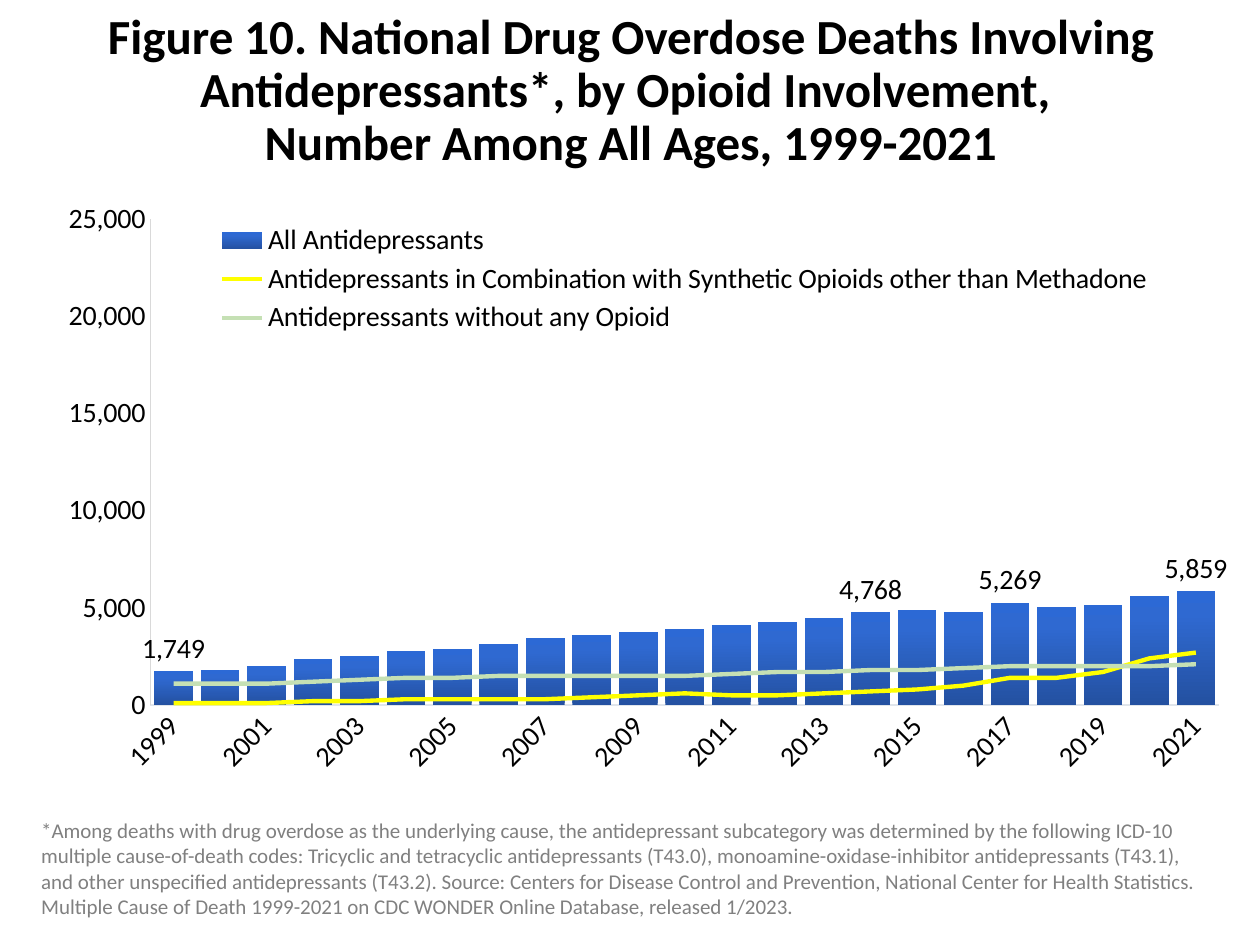
"""Build a slide with a combined column and line chart of overdose deaths involving antidepressants."""
from copy import deepcopy
from dataclasses import dataclass

from lxml import etree
from pptx import Presentation
from pptx.chart.data import CategoryChartData
from pptx.dml.color import RGBColor
from pptx.enum.chart import XL_CHART_TYPE, XL_LABEL_POSITION, XL_LEGEND_POSITION, XL_MARKER_STYLE, XL_TICK_MARK
from pptx.enum.text import MSO_ANCHOR, PP_ALIGN
from pptx.oxml import parse_xml
from pptx.oxml.ns import nsdecls, qn
from pptx.util import Cm, Pt

COLUMNS = XL_CHART_TYPE.COLUMN_CLUSTERED
LABEL_ABOVE = XL_LABEL_POSITION.OUTSIDE_END
LEGEND_BOTTOM = XL_LEGEND_POSITION.BOTTOM
NO_MARKER = XL_MARKER_STYLE.NONE
NO_TICK = XL_TICK_MARK.NONE
MIDDLE, TOP = MSO_ANCHOR.MIDDLE, MSO_ANCHOR.TOP
CENTER, LEFT = PP_ALIGN.CENTER, PP_ALIGN.LEFT


@dataclass(frozen=True)
class Theme:
    font: str = "Calibri"
    title_size: int = 28
    chart_size: int = 16
    note_size: int = 12
    text: str = "000000"
    note: str = "808080"
    category_line: str = "E0E5EB"
    value_line: str = "D9D9D9"
    columns: tuple = ((0, "2451A1"), (0.8, "2F69D1"), (1, "2C69D5"))
    lines: tuple = ("FFFF00", "C5E0B4")


THEME = Theme()
TITLE = ("Figure 10. National Drug Overdose Deaths Involving Antidepressants*, "
         "by Opioid Involvement, \vNumber Among All Ages, 1999-2021")
NOTE = ("*Among deaths with drug overdose as the underlying cause, the antidepressant subcategory was "
        "determined by the following ICD-10 multiple cause-of-death codes: Tricyclic and tetracyclic "
        "antidepressants (T43.0), monoamine-oxidase-inhibitor antidepressants (T43.1), and other unspecified "
        "antidepressants (T43.2). Source: Centers for Disease Control and Prevention, National Center for "
        "Health Statistics. Multiple Cause of Death 1999-2021 on CDC WONDER Online Database, released 1/2023.")
DEATHS = {
    "All Antidepressants": (
        1749, 1798, 2017, 2370, 2512, 2758, 2861, 3133, 3425, 3610, 3768, 3889,
        4113, 4259, 4458, 4768, 4894, 4812, 5269, 5064, 5175, 5597, 5859),
    "Antidepressants in Combination with Synthetic Opioids other than Methadone": (
        100, 100, 100, 200, 200, 300, 300, 300, 300, 400, 500, 600,
        500, 500, 600, 700, 800, 1000, 1400, 1400, 1700, 2400, 2700),
    "Antidepressants without any Opioid": (
        1100, 1100, 1100, 1200, 1300, 1400, 1400, 1500, 1500, 1500, 1500, 1500,
        1600, 1700, 1700, 1800, 1800, 1900, 2000, 2000, 2000, 2000, 2100),
}
YEARS = range(1999, 2022)
LABELLED_YEARS = (1999, 2014, 2017, 2021)


def add_text(s, box, text, size, color, bold, align, anchor, spacing):
    tf = s.shapes.add_textbox(*map(Cm, box)).text_frame
    tf.word_wrap = True
    tf.vertical_anchor = anchor
    p = tf.paragraphs[0]
    p.text = text
    p.alignment = align
    p.line_spacing = spacing
    p.font.name = THEME.font
    p.font.size = Pt(size)
    p.font.bold = bold
    p.font.color.rgb = RGBColor.from_string(color)


def make_layout(x, y, w, h, target=""):
    sizes = "".join(f'<c:{k} val="{v}"/>' for k, v in zip("xywh", (x, y, w, h)))
    return parse_xml(f'<c:layout {nsdecls("c")}><c:manualLayout>{target}<c:xMode val="edge"/>'
                     f'<c:yMode val="edge"/>{sizes}</c:manualLayout></c:layout>')


prs = Presentation()
prs.slide_width, prs.slide_height = Cm(25.4), Cm(19.05)
s = prs.slides.add_slide(prs.slide_layouts[6])

add_text(s, (0.36, 0, 24.71, 3.68), TITLE, THEME.title_size, THEME.text, True, CENTER, MIDDLE, 0.9)

data = CategoryChartData(number_format="#,##0")
data.categories = [str(year) for year in YEARS]
for name, values in DEATHS.items():
    data.add_series(name, values)
chart = s.shapes.add_chart(COLUMNS, Cm(0.61), Cm(4.06), Cm(24.21), Cm(12.09), data).chart
chart.has_title = False
chart.font.name = THEME.font
chart.font.size = Pt(THEME.chart_size)
chart.font.color.rgb = RGBColor.from_string(THEME.text)

column_plot = chart.plots[0]
column_plot.gap_width = 20
column_plot.vary_by_categories = False
bar_chart = chart._chartSpace.find(".//" + qn("c:barChart"))
line_chart = parse_xml(f'<c:lineChart {nsdecls("c")}><c:grouping val="standard"/>'
                       '<c:varyColors val="0"/></c:lineChart>')
for ser in bar_chart.findall(qn("c:ser"))[1:]:
    for invert in ser.findall(qn("c:invertIfNegative")):
        ser.remove(invert)
    line_chart.append(ser)
etree.SubElement(line_chart, qn("c:marker")).set("val", "1")
for axis_id in bar_chart.findall(qn("c:axId")):
    line_chart.append(deepcopy(axis_id))
bar_chart.addnext(line_chart)

deaths = chart.plots[0].series[0]
fill = deaths.format.fill
fill.gradient()
fill.gradient_angle = 90
stop_list = deaths._element.find(".//" + qn("a:gsLst"))
stop_list.append(deepcopy(stop_list[-1]))
for stop, (position, color) in zip(fill.gradient_stops, THEME.columns):
    stop.position = position
    stop.color.rgb = RGBColor.from_string(color)
deaths.data_labels.show_value = False
for year in LABELLED_YEARS:
    deaths.points[YEARS.index(year)].data_label.position = LABEL_ABOVE

for series, color in zip(chart.plots[1].series, THEME.lines):
    series.smooth = False
    series.marker.style = NO_MARKER
    series.format.line.width = Pt(2.5)
    series.format.line.color.rgb = RGBColor.from_string(color)

years_axis, deaths_axis = chart.category_axis, chart.value_axis
for axis, color in ((years_axis, THEME.category_line), (deaths_axis, THEME.value_line)):
    axis.has_major_gridlines = False
    axis.major_tick_mark = axis.minor_tick_mark = NO_TICK
    axis.format.line.width = Pt(0.75)
    axis.format.line.color.rgb = RGBColor.from_string(color)
    axis.tick_labels.font.size = Pt(THEME.chart_size)
deaths_axis.minimum_scale, deaths_axis.maximum_scale = 0, 25000
deaths_axis.major_unit = 5000
deaths_axis.tick_labels.number_format = "#,##0"
deaths_axis.tick_labels.number_format_is_linked = False
years_xml = years_axis._element
years_xml.find(".//" + qn("a:bodyPr")).set("rot", "-2700000")
label_skip = parse_xml(f'<c:tickLblSkip {nsdecls("c")} val="2"/>')
years_xml.find(qn("c:noMultiLvlLbl")).addprevious(label_skip)

chart.has_legend = True
legend = chart.legend
legend.position = LEGEND_BOTTOM
legend.include_in_layout = True
legend.font.size = Pt(THEME.chart_size)
plot_area = bar_chart.getparent()
for parent in (plot_area, legend._element):
    for old_layout in parent.findall(qn("c:layout")):
        parent.remove(old_layout)
plot_area.insert(0, make_layout(0.1, 0.03, 0.89, 0.81, '<c:layoutTarget val="inner"/>'))
legend._element.find(qn("c:legendPos")).addnext(make_layout(0.14, 0.03, 0.81, 0.2))

add_text(s, (0.58, 16.36, 24.21, 2.31), NOTE, THEME.note_size, THEME.note, False, LEFT, TOP, 1)

prs.save("out.pptx")
